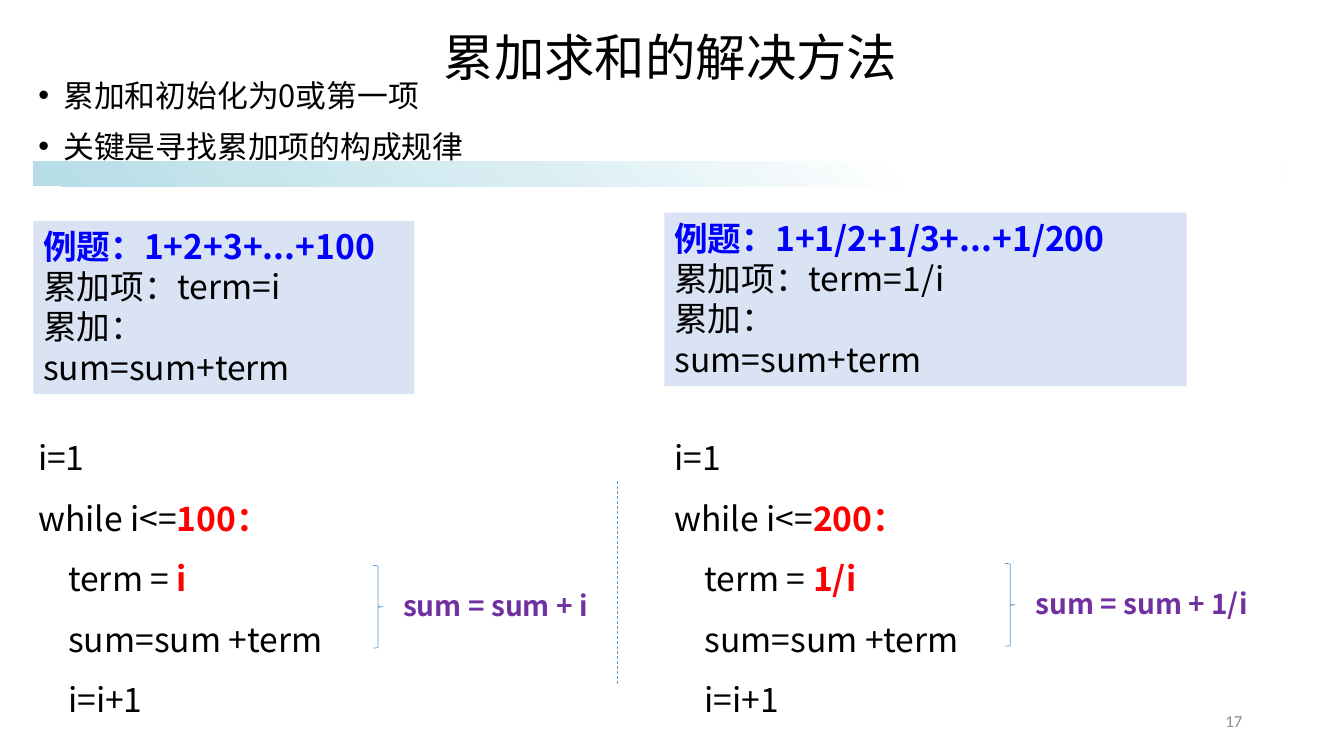
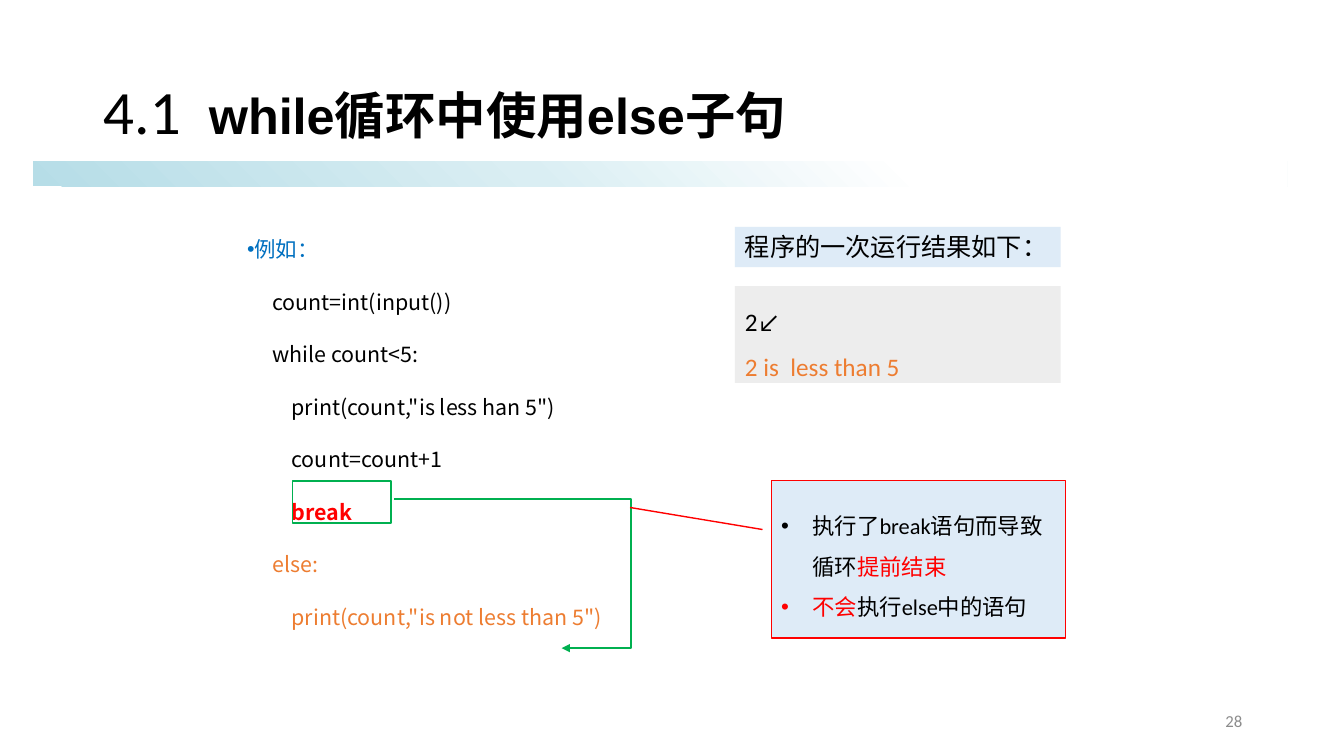
from collections import namedtuple

from lxml.etree import SubElement
from pptx import Presentation
from pptx.dml.color import RGBColor
from pptx.enum.dml import MSO_LINE
from pptx.enum.shapes import MSO_CONNECTOR as Link, MSO_SHAPE as Preset
from pptx.enum.text import MSO_ANCHOR as Anchor, MSO_AUTO_SIZE as AutoSize, PP_ALIGN as Align
from pptx.oxml import parse_xml
from pptx.oxml.ns import nsdecls, qn
from pptx.util import Inches, Pt

CJK, SANS, TITLE_BOLD = "Noto Sans CJK SC", "Calibri", "Arial"
BLACK, RED, BLUE, PURPLE = "000000", "FF0000", "0000FF", "7030A0"
ORANGE, GREEN, SKY, GRAY = "ED7D31", "00B050", "5B9BD5", "8C8C8C"
HEADING_BLUE, PANEL, PALE_BLUE, PALE_GRAY = "0070C0", "DAE3F3", "DEEBF7", "EDEDED"
BAND_BOX = (0.33, 1.6, 12.44, 0.25)
BAND_STOPS = [(0, "B6DDE7"), (40, "DAEEF3"), (70, "FFFFFF"), (100, "FFFFFF")]
BAND_ANGLE = 315
NUMBER_BOX = (9.42, 6.95, 3, 0.4)
LEADING = 1.2

Run = namedtuple("Run", "text color bold size font", defaults=(BLACK, False, None, None))
Para = namedtuple("Para", "runs bullet left hang spacing", defaults=(False, 0, 0, 1))
Example = namedtuple("Example", "series limit term panel code_left brace note_width")

SUM_TITLE = [Para([Run("累加求和的解决方法")], spacing=0.9)]
SUM_POINTS = [Para([Run(point)], True, 0.25, -0.25)
              for point in ("累加和初始化为0或第一项", "关键是寻找累加项的构成规律")]
EXAMPLES = [
    Example("1+2+3+...+100", "100", "i", (0.33, 2.19, 3.78, 1.72), 0.28, (3.7, 5.61), 2.24),
    Example("1+1/2+1/3+...+1/200", "200", "1/i", (6.59, 2.11, 5.18, 1.72), 6.59, (9.97, 5.59), 2.55),
]

ELSE_TITLE = [Para([Run("4.1  ", size=44), Run("while循环中使用else子句", bold=True, font=TITLE_BOLD)],
                   spacing=0.9)]
ELSE_CODE = [
    [Run("count=int(input())")],
    [Run("while count<5:")],
    [Run("    print(count,\"is less han 5\")")],
    [Run("    count=count+1")],
    [Run("    "), Run("break", RED, True)],
    [Run("else:", ORANGE)],
    [Run("    print(count,\"is not less than 5\")", ORANGE)],
]
ELSE_BODY = [Para([Run("例如：", HEADING_BLUE)], True, 0, -0.25, 1.4)] + [
    Para(runs, left=0.25, spacing=1.5) for runs in ELSE_CODE]
RESULT_HEADING = [Para([Run("程序的一次运行结果如下：")])]
RESULT = [Para([Run("2↙")], spacing=1.5), Para([Run("2 is  less than 5", ORANGE)], spacing=1.5)]
BREAK_NOTES = [Para(runs, True, 0.31, -0.31, 1.5) for runs in (
    [Run("执行了break语句而导致循环"), Run("提前结束", RED)],
    [Run("不会", RED), Run("执行else中的语句")],
)]


def rgb(value):
    return RGBColor.from_string(value)


def inches(values):
    return [Inches(value) for value in values]


def write(shape, paras, size, font=CJK, gap=0, anchor=Anchor.TOP, align=Align.LEFT, wrap=True):
    frame = shape.text_frame
    frame.auto_size = AutoSize.NONE
    frame.word_wrap = wrap
    frame.vertical_anchor = anchor
    for index, para in enumerate(paras):
        line = frame.add_paragraph() if index else frame.paragraphs[0]
        props = line._p.get_or_add_pPr()
        props.set("marL", str(Inches(para.left)))
        props.set("indent", str(Inches(para.hang)))
        if para.bullet:
            SubElement(props, qn("a:buFont")).set("typeface", "Arial")
            SubElement(props, qn("a:buChar")).set("char", "•")
        else:
            SubElement(props, qn("a:buNone"))
        line.alignment = align
        tallest = max(run.size or size for run in para.runs)
        line.line_spacing = Pt(round(tallest * LEADING * para.spacing, 1))
        line.space_before = Pt(gap if index else 0)
        line.space_after = Pt(0)
        for run in para.runs:
            part = line.add_run()
            part.text = run.text
            part.font.size = Pt(run.size or size)
            part.font.bold = run.bold
            part.font.color.rgb = rgb(run.color)
            part.font.name = run.font or font
            SubElement(part._r.get_or_add_rPr(), qn("a:ea")).set("typeface", CJK)


def add_text(slide, box, paras, size, **style):
    write(slide.shapes.add_textbox(*inches(box)), paras, size, **style)


def fill_placeholder(shape, box, paras, size, **style):
    shape.left, shape.top, shape.width, shape.height = inches(box)
    write(shape, paras, size, **style)


def add_box(slide, preset, box, fill=None, line=None, width=1):
    shape = slide.shapes.add_shape(preset, *inches(box))
    shape.shadow.inherit = False
    if fill:
        shape.fill.solid()
        shape.fill.fore_color.rgb = rgb(fill)
    else:
        shape.fill.background()
    if line:
        shape.line.color.rgb = rgb(line)
        shape.line.width = Pt(width)
    else:
        shape.line.fill.background()
    return shape


def add_link(slide, kind, start, end, color, width):
    link = slide.shapes.add_connector(kind, *inches(start + end))
    link.line.color.rgb = rgb(color)
    link.line.width = Pt(width)
    SubElement(link._element.spPr, qn("a:effectLst"))
    return link


def add_band(prs, slide):
    band = add_box(slide, Preset.RECTANGLE, BAND_BOX)
    stops = "".join(f'<a:gs pos="{pos * 1000}"><a:srgbClr val="{color}"/></a:gs>'
                    for pos, color in BAND_STOPS)
    gradient = parse_xml(f'<a:gradFill {nsdecls("a")} rotWithShape="1"><a:gsLst>{stops}</a:gsLst>'
                         f'<a:lin ang="{BAND_ANGLE * 60000}" scaled="0"/></a:gradFill>')
    props = band._element.spPr
    props.replace(props.find(qn("a:noFill")), gradient)
    prs.slide_master.shapes.element.insert(2, band._element)


def add_slide(prs, number, title, title_box, body, body_box, body_size):
    slide = prs.slides.add_slide(prs.slide_layouts[1])
    fill_placeholder(slide.shapes.title, title_box, title, 36, font=SANS, anchor=Anchor.MIDDLE)
    fill_placeholder(slide.placeholders[1], body_box, body, body_size, gap=10)
    add_text(slide, NUMBER_BOX, [Para([Run(number, GRAY)])], 12, font=SANS,
             anchor=Anchor.MIDDLE, align=Align.RIGHT)
    return slide


def add_example(slide, example):
    summary = [Para([Run("例题：" + example.series, BLUE, True)])] + [
        Para([Run(text)]) for text in ("累加项：term=" + example.term, "累加：", "sum=sum+term")]
    code = [
        [Run("i=1")],
        [Run("while i<="), Run(example.limit + "：", RED, True)],
        [Run("    term = "), Run(example.term, RED, True)],
        [Run("    sum=sum +term")],
        [Run("    i=i+1")],
    ]
    write(add_box(slide, Preset.RECTANGLE, example.panel, PANEL), summary, 24)
    add_text(slide, (example.code_left, 4.09, 3.97, 3.06),
             [Para(runs, spacing=1.5) for runs in code], 24)
    left, top = example.brace
    add_box(slide, Preset.RIGHT_BRACE, (left, top, 0.1, 0.82), line=SKY, width=0.5)
    add_text(slide, (left + 0.2, top + 0.18, example.note_width, 0.44),
             [Para([Run("sum = sum + " + example.term, PURPLE, True)])], 20, wrap=False)


def build_sum_slide(prs):
    slide = add_slide(prs, "17", SUM_TITLE, (4.3, 0.18, 5.36, 0.81),
                      SUM_POINTS, (0.28, 0.71, 6.39, 1.06), 22)
    add_band(prs, slide)
    for example in EXAMPLES:
        add_example(slide, example)
    divider = add_link(slide, Link.STRAIGHT, (6.12, 4.77), (6.12, 6.79), SKY, 0.5)
    divider.line.dash_style = MSO_LINE.DASH


def build_else_slide(prs):
    slide = add_slide(prs, "28", ELSE_TITLE, (0.92, 0.4, 11.5, 1.45),
                      ELSE_BODY, (2.35, 2.19, 4.67, 4.19), 15.3)
    write(add_box(slide, Preset.RECTANGLE, (7.29, 2.84, 3.23, 0.96), PALE_GRAY),
          RESULT, 18, font=SANS)
    write(add_box(slide, Preset.RECTANGLE, (7.29, 2.25, 3.23, 0.4), PALE_BLUE),
          RESULT_HEADING, 18, font=SANS, wrap=False)
    add_box(slide, Preset.RECTANGLE, (2.9, 4.77, 0.98, 0.42), line=GREEN)

    jump = add_link(slide, Link.ELBOW, (3.91, 4.95), (5.57, 6.43), GREEN, 1.5)
    guide = SubElement(jump._element.spPr.find(qn("a:prstGeom")).find(qn("a:avLst")), qn("a:gd"))
    guide.set("name", "adj1")
    guide.set("fmla", "val 141700")
    SubElement(jump.line._get_or_add_ln(), qn("a:tailEnd")).set("type", "triangle")

    callout = add_box(slide, Preset.LINE_CALLOUT_1, (7.65, 4.77, 2.92, 1.56), PALE_BLUE, RED)
    for index, value in enumerate((0.31, -0.03, 0.17, -0.48)):
        callout.adjustments[index] = value
    write(callout, BREAK_NOTES, 16, font=SANS, anchor=Anchor.MIDDLE)


def main():
    prs = Presentation()
    prs.slide_width, prs.slide_height = Inches(13.33), Inches(7.5)
    build_sum_slide(prs)
    build_else_slide(prs)
    prs.save("out.pptx")


if __name__ == "__main__":
    main()
